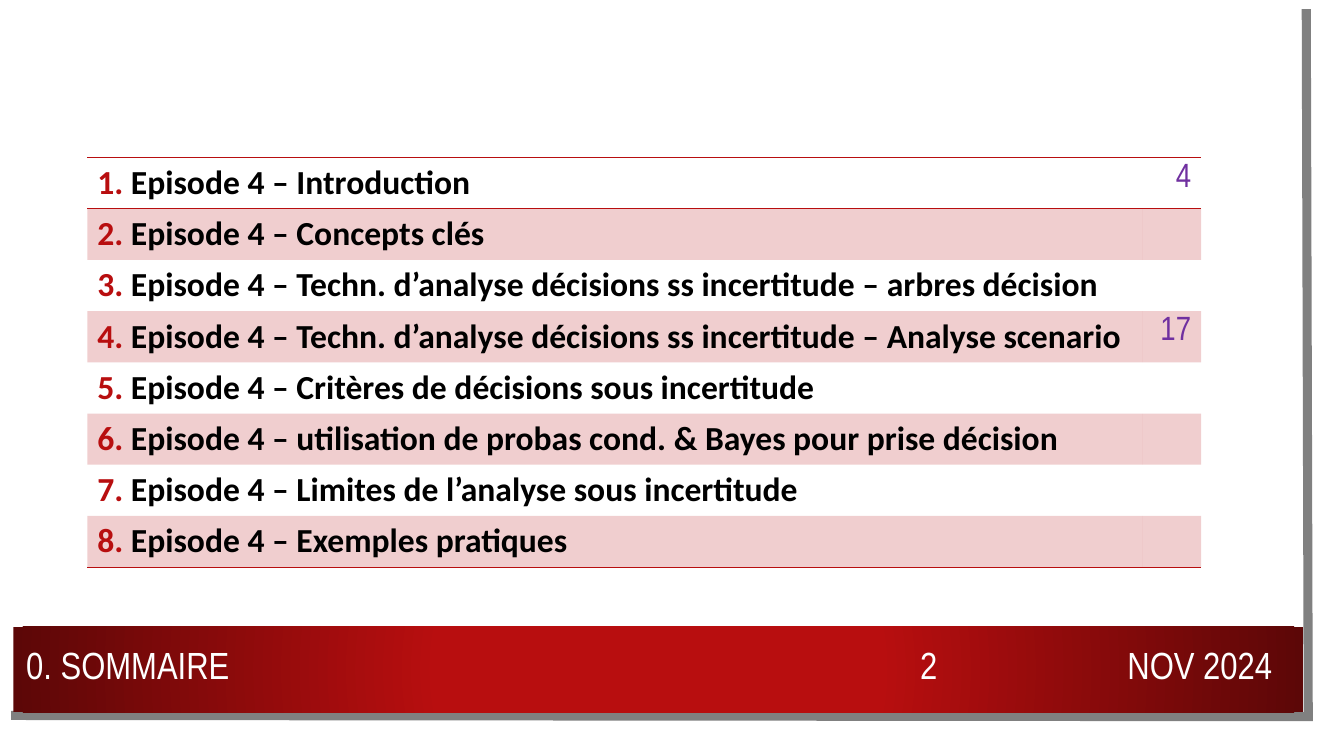
import pptx
import pptx.dml.color
import pptx.enum.shapes
import pptx.enum.text
import pptx.oxml
import pptx.oxml.ns
import pptx.util
from pptx.util import Cm

RED, DARK_RED, VIOLET = "B80E0F", "5C0707", "7030A0"
BLACK, WHITE, GREY = "000000", "FFFFFF", "808080"
NO_TABLE_STYLE = "{2D5ABB26-0587-4C30-8999-92F81FD0307C}"
EPISODES = [
    ("Introduction", "4"),
    ("Concepts clés", ""),
    ("Techn. d’analyse décisions ss incertitude – arbres décision", ""),
    ("Techn. d’analyse décisions ss incertitude – Analyse scenario", "17"),
    ("Critères de décisions sous incertitude", ""),
    ("utilisation de probas cond. & Bayes pour prise décision", ""),
    ("Limites de l’analyse sous incertitude", ""),
    ("Exemples pratiques", ""),
]


def rgb(hex_color):
    """Return the colour for a hex string."""
    return pptx.dml.color.RGBColor.from_string(hex_color)


def element(xml):
    """Parse a fragment in the drawing namespace."""
    head, tail = xml.split(">", 1)
    slash = "/" if head.endswith("/") else ""
    head = head.rstrip("/")
    return pptx.oxml.parse_xml(f"{head} {pptx.oxml.ns.nsdecls('a')}{slash}>{tail}")


def style(font, name, size, color, bold=False):
    """Set the typeface, size, colour and weight of a font."""
    font.name, font.size, font.bold = name, pptx.util.Pt(size), bold
    font.color.rgb = rgb(color)


def add_page_edge(slide, left, top, width, height):
    """Draw the grey edge down the right side and along the bottom."""
    right, bottom = left + width, top + height
    builder = slide.shapes.build_freeform(Cm(right - 0.05), Cm(top))
    builder.add_line_segments(
        [(Cm(right), Cm(bottom)), (Cm(left), Cm(bottom - 0.03))], close=False)
    edge = builder.convert_to_shape()
    edge.shadow.inherit = False
    edge.fill.background()
    edge.line.color.rgb = rgb(GREY)
    edge.line.width = pptx.util.Pt(6.5)
    edge.get_or_add_ln().append(element('<a:miter lim="800000"/>'))


def add_footer_text(slide, left, top, width, height, text, align):
    """Add one label of the footer."""
    label = slide.shapes.add_textbox(Cm(left), Cm(top), Cm(width), Cm(height))
    frame = label.text_frame
    frame.word_wrap = True
    frame.vertical_anchor = pptx.enum.text.MSO_ANCHOR.MIDDLE
    paragraph = frame.paragraphs[0]
    paragraph.text, paragraph.alignment = text, align
    style(paragraph.font, "Arial Narrow", 27, WHITE)


def add_footer(slide, left, top, width, height):
    """Add the radial red band with title, page number and date."""
    band = slide.shapes.add_shape(
        pptx.enum.shapes.MSO_SHAPE.RECTANGLE, Cm(left), Cm(top), Cm(width), Cm(height))
    band.shadow.inherit = False
    band.line.fill.background()
    band.fill.solid()
    solid = band.fill._xPr.find(pptx.oxml.ns.qn("a:solidFill"))
    solid.getparent().replace(solid, element(
        '<a:gradFill rotWithShape="1"><a:gsLst>'
        f'<a:gs pos="34000"><a:srgbClr val="{RED}"/></a:gs>'
        f'<a:gs pos="100000"><a:srgbClr val="{DARK_RED}"/></a:gs></a:gsLst>'
        '<a:path path="circle"><a:fillToRect l="50000" t="50000" r="50000" b="50000"/>'
        '</a:path></a:gradFill>'))
    align = pptx.enum.text.PP_ALIGN
    for offset, label_width, text, side in [
        (0.07, 15.27, "0. SOMMAIRE", align.LEFT),
        (21.81, 2.51, "2", align.CENTER),
        (24.5, 7.47, "NOV 2024", align.RIGHT),
    ]:
        add_footer_text(slide, left + offset, top + 0.26, label_width, 1.4, text, side)


def format_cell(cell, edges, shaded):
    """Draw the given horizontal edges of a cell and its shading."""
    properties = cell._tc.get_or_add_tcPr()
    for edge in edges:
        properties.append(element(
            f'<a:{edge} w="12700"><a:solidFill><a:srgbClr val="{RED}"/></a:solidFill></a:{edge}>'))
    if shaded:
        cell.fill.solid()
        cell.fill.fore_color.rgb = rgb(RED)
        tint = properties.find(pptx.oxml.ns.qn("a:solidFill"))[0]
        tint.append(element('<a:alpha val="20000"/>'))
    else:
        cell.fill.background()


def add_contents(slide, left, top, width, height):
    """Add the table of episodes with their page numbers."""
    frame = slide.shapes.add_table(
        len(EPISODES), 2, Cm(left), Cm(top), Cm(width), Cm(height))
    table = frame.table
    table.first_row = table.horz_banding = False
    table._tbl.tblPr.find(pptx.oxml.ns.qn("a:tableStyleId")).text = NO_TABLE_STYLE
    page_width = 1.47
    table.columns[0].width = Cm(width - page_width)
    table.columns[1].width = Cm(page_width)
    edges = {0: ["lnT", "lnB"], len(EPISODES) - 1: ["lnB"]}
    for index, (topic, page) in enumerate(EPISODES):
        table.rows[index].height = Cm(height / len(EPISODES))
        topic_cell, page_cell = table.cell(index, 0), table.cell(index, 1)
        for cell in (topic_cell, page_cell):
            format_cell(cell, edges.get(index, []), index % 2 == 1)
        topic_line = topic_cell.text_frame.paragraphs[0]
        for text, color in [(f"{index + 1}.", RED), (f" Episode 4 – {topic}", BLACK)]:
            run = topic_line.add_run()
            run.text = text
            style(run.font, "Calibri", 24, color, bold=True)
        if page:
            page_line = page_cell.text_frame.paragraphs[0]
            page_line.text = page
            page_line.alignment = pptx.enum.text.PP_ALIGN.RIGHT
            style(page_line.font, "Arial Narrow", 24, VIOLET)


def main():
    """Build the summary slide and save it."""
    deck = pptx.Presentation()
    deck.slide_width, deck.slide_height = Cm(33.87), Cm(19.05)
    slide = deck.slides.add_slide(deck.slide_layouts[6])
    add_page_edge(slide, 0.28, 0.23, 32.69, 17.83)
    add_footer(slide, 0.34, 15.79, 32.51, 2.16)
    add_contents(slide, 2.2, 3.97, 28.07, 10.32)
    deck.save("out.pptx")


if __name__ == "__main__":
    main()
